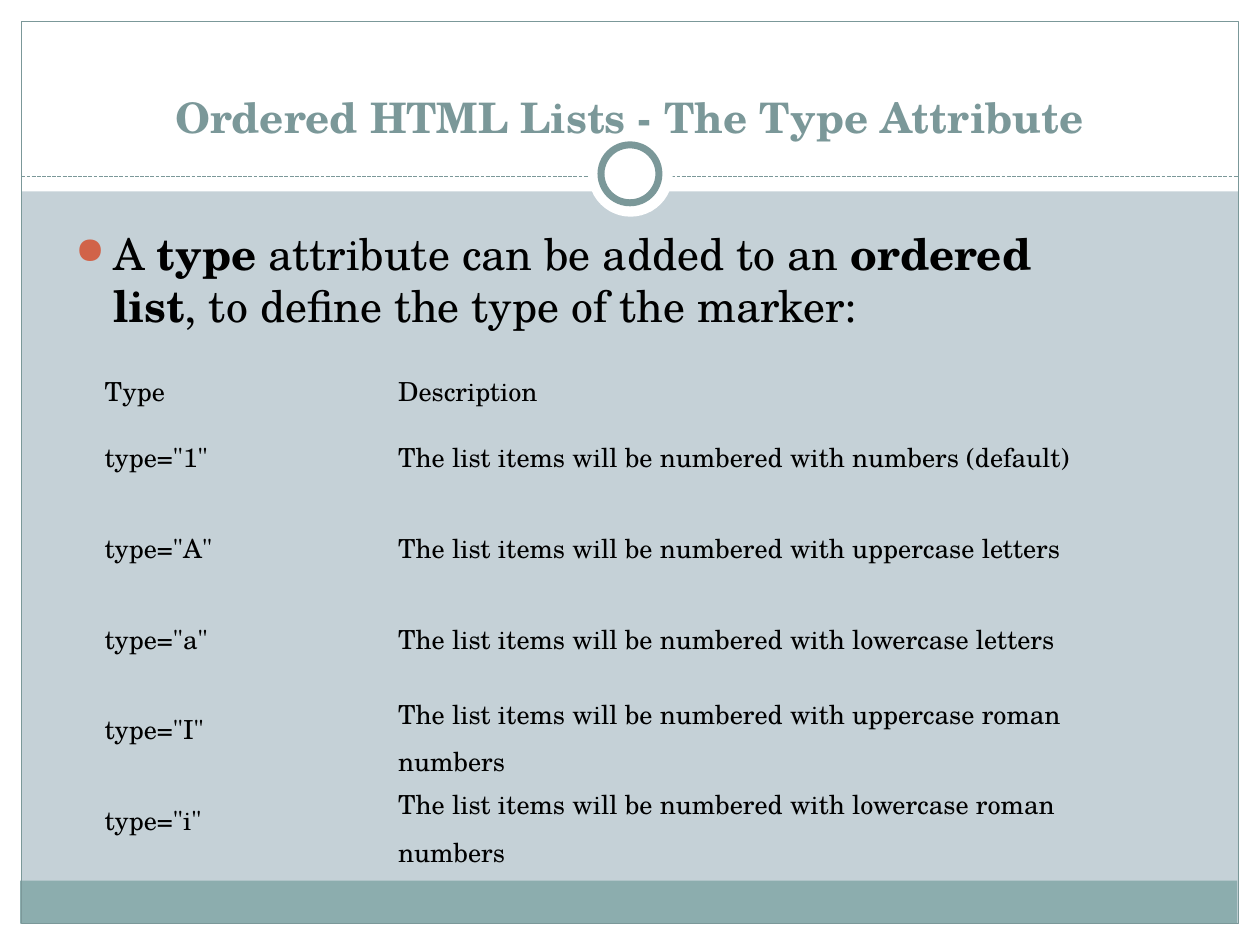
from pptx import Presentation
from pptx.dml.color import RGBColor
from pptx.enum.dml import MSO_LINE as Dash
from pptx.enum.shapes import MSO_CONNECTOR as Conn, MSO_SHAPE as Geo
from pptx.enum.text import MSO_ANCHOR as Anchor, PP_ALIGN as Align
from pptx.oxml.ns import qn
from pptx.util import Inches, Pt
from lxml.etree import SubElement

FONT = "TeX Gyre Schola"
WHITE, TEAL, BLACK = "FFFFFF", "7B9899", "000000"


def color(code):
    return RGBColor.from_string(code)


class Deck:
    def __init__(self):
        self.file = Presentation()
        self.file.slide_width = Inches(10)
        self.file.slide_height = Inches(7.5)
        self.slide = self.file.slides.add_slide(self.file.slide_layouts[6])
        self.shapes = self.slide.shapes

    def back(self, code):
        fill = self.slide.background.fill
        fill.solid()
        fill.fore_color.rgb = color(code)

    def shape(self, box, fill=None, line=None, width=0.75, geo=Geo.RECTANGLE):
        shape = self.shapes.add_shape(geo, *map(Inches, box))
        shape.shadow.inherit = False
        if fill:
            shape.fill.solid()
            shape.fill.fore_color.rgb = color(fill)
        else:
            shape.fill.background()
        if line:
            shape.line.color.rgb = color(line)
            shape.line.width = Pt(width)
        else:
            shape.line.fill.background()

    def rule(self, left, right, top):
        ends = map(Inches, (left, top, right, top))
        rule = self.shapes.add_connector(Conn.STRAIGHT, *ends)
        rule.line.color.rgb = color(TEAL)
        rule.line.width = Pt(0.75)
        rule.line.dash_style = Dash.SQUARE_DOT
        SubElement(rule._element.spPr, qn("a:effectLst"))

    def runs(self, para, parts, size, code=BLACK):
        for text, bold in parts:
            run = para.add_run()
            run.text = text
            font = run.font
            font.name, font.size, font.bold = FONT, Pt(size), bold
            font.color.rgb = color(code)

    def frame(self, box):
        frame = self.shapes.add_textbox(*map(Inches, box)).text_frame
        frame.word_wrap = True
        return frame

    def title(self, box, text):
        frame = self.frame(box)
        frame.vertical_anchor = Anchor.BOTTOM
        frame.margin_bottom = Inches(0.45)
        para = frame.paragraphs[0]
        para.alignment = Align.CENTER
        self.runs(para, [(text, True)], 24, TEAL)

    def bullet(self, box, parts):
        para = self.frame(box).paragraphs[0]
        props = para._p.get_or_add_pPr()
        props.set("marL", str(Inches(0.3)))
        props.set("indent", str(-Inches(0.3)))
        tint = SubElement(props, qn("a:buClr"))
        SubElement(tint, qn("a:srgbClr"), val="D16349")
        SubElement(props, qn("a:buSzPct"), val="85000")
        SubElement(props, qn("a:buChar"), char="●")
        self.runs(para, parts, 25)

    def table(self, box, cols, highs, rows):
        grid = self.shapes.add_table(len(rows), len(cols), *map(Inches, box)).table
        grid.first_row = grid.horz_banding = False
        for col, width in zip(grid.columns, cols):
            col.width = Inches(width)
        for row, high, texts in zip(grid.rows, highs, rows):
            row.height = Inches(high)
            for cell, text in zip(row.cells, texts):
                cell.fill.background()
                cell.vertical_anchor = Anchor.MIDDLE
                cell.margin_left = cell.margin_right = Inches(0.08)
                para = cell.text_frame.paragraphs[0]
                para.line_spacing = 1.22
                self.runs(para, [(text, False)], 15)
                props = cell._tc.get_or_add_tcPr()
                for spot, side in enumerate(("lnL", "lnR", "lnT", "lnB")):
                    edge = SubElement(props, qn("a:" + side), w="0")
                    SubElement(edge, qn("a:noFill"))
                    props.insert(spot, edge)


def main():
    deck = Deck()
    deck.back("C5D1D7")
    for box in ((0, 7.33, 10, 0.17), (0, 0, 10, 1.52),
                (0, 0, 0.17, 7.5), (9.83, 0, 0.17, 7.5)):
        deck.shape(box, WHITE)
    deck.shape((0.16, 6.99, 9.66, 0.34), "8CADAE")
    deck.shape((0.17, 0.17, 9.66, 7.16), line=TEAL)
    deck.rule(0.17, 9.83, 1.4)
    deck.shape((4.67, 1.05, 0.67, 0.67), WHITE, geo=Geo.OVAL)
    deck.shape((4.77, 1.15, 0.46, 0.46), WHITE, TEAL, 4, Geo.OVAL)
    deck.title((0.33, 0.5, 9.33, 1.08), "Ordered HTML Lists - The Type Attribute")
    deck.bullet((0.5, 1.75, 8.17, 1), [
        ("A ", False), ("type", True),
        (" attribute can be added to an ", False), ("ordered list", True),
        (", to define the type of the marker:", False)])
    kinds = {"1": "numbers (default)", "A": "uppercase letters",
             "a": "lowercase letters", "I": "uppercase roman numbers",
             "i": "lowercase roman numbers"}
    rows = [("Type", "Description")]
    for mark, kind in kinds.items():
        rows.append((f'type="{mark}"', f"The list items will be numbered with {kind}"))
    deck.table((0.75, 2.83, 8.42, 3.93), (2.33, 6.08),
               [0.33] + [0.72] * len(kinds), rows)
    deck.file.save("out.pptx")


if __name__ == "__main__":
    main()
